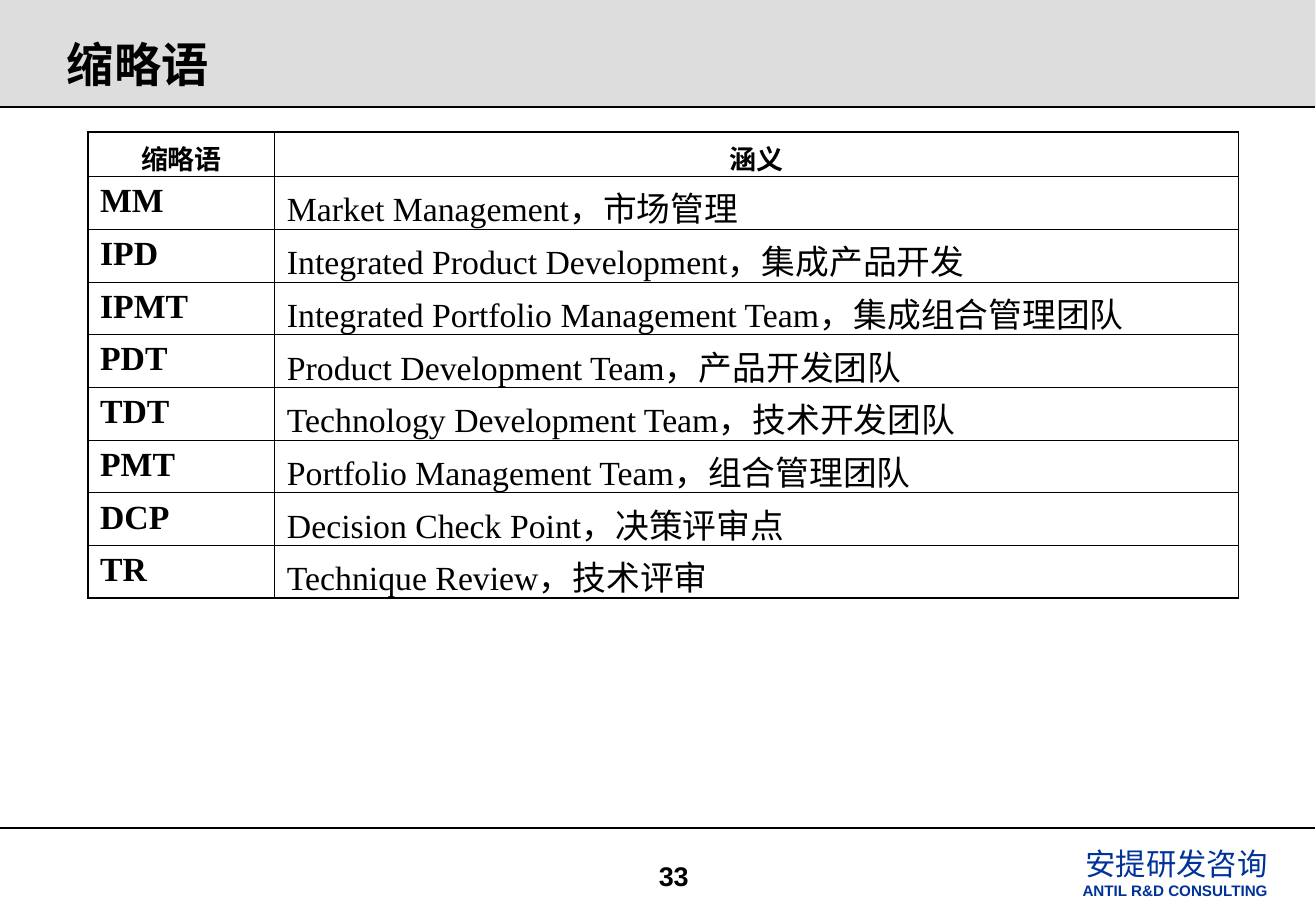
from lxml import etree
from pptx import Presentation
from pptx.dml.color import RGBColor
from pptx.enum.shapes import MSO_CONNECTOR, MSO_SHAPE
from pptx.enum.text import PP_ALIGN
from pptx.oxml.ns import qn
from pptx.util import Inches, Pt

PX = 7529
SLIDE_SIZE = Inches(10.84), Inches(7.5)
BAND_W = 1316
CENTER, LEFT = PP_ALIGN.CENTER, PP_ALIGN.LEFT
STRAIGHT, RECTANGLE = MSO_CONNECTOR.STRAIGHT, MSO_SHAPE.RECTANGLE
SANS, SERIF = "Arial", "Times New Roman"
COLORS = {"text": "000000", "rule": "000000", "band": "DDDDDD", "brand": "003399"}
OUTER_PT, INNER_PT = 1.08, 0.45
HEADER_H, ROW_H = 39, 46
COLUMN_WIDTHS = (187, 964)
HEADINGS = ("缩略语", "涵义")
ABBREVIATIONS = (
    ("MM", "Market Management，市场管理"),
    ("IPD", "Integrated Product Development，集成产品开发"),
    ("IPMT", "Integrated Portfolio Management Team，集成组合管理团队"),
    ("PDT", "Product Development Team，产品开发团队"),
    ("TDT", "Technology Development Team，技术开发团队"),
    ("PMT", "Portfolio Management Team，组合管理团队"),
    ("DCP", "Decision Check Point，决策评审点"),
    ("TR", "Technique Review，技术评审"),
)


def emu(*lengths):
    return [length * PX for length in lengths]


def rgb(name):
    return RGBColor.from_string(COLORS[name])


def write(frame, text, size, font, bold=True, align=LEFT, color="text"):
    paragraph = frame.paragraphs[0]
    paragraph.text = text
    paragraph.alignment = align
    paragraph.font.size = Pt(size)
    paragraph.font.name = font
    paragraph.font.bold = bold
    paragraph.font.color.rgb = rgb(color)


def add_label(slide, box, text, size, font, **style):
    frame = slide.shapes.add_textbox(*emu(*box)).text_frame
    frame.word_wrap = True
    write(frame, text, size, font, **style)


def add_band(slide, box):
    band = slide.shapes.add_shape(RECTANGLE, *emu(*box))
    band.shadow.inherit = False
    band.fill.solid()
    band.fill.fore_color.rgb = rgb("band")
    band.line.fill.background()


def add_rule(slide, y):
    rule = slide.shapes.add_connector(STRAIGHT, *emu(0, y, BAND_W, y))
    rule.line.color.rgb = rgb("rule")
    rule.line.width = Pt(0.75)
    etree.SubElement(rule._element.spPr, qn("a:effectLst"))


def set_borders(cell, outer_sides):
    properties = cell._tc.get_or_add_tcPr()
    for position, side in enumerate("LRTB"):
        width = OUTER_PT if side in outer_sides else INNER_PT
        border = etree.Element(qn(f"a:ln{side}"), w=str(Pt(width)))
        fill = etree.SubElement(border, qn("a:solidFill"))
        etree.SubElement(fill, qn("a:srgbClr"), val=COLORS["rule"])
        properties.insert(position, border)


def add_glossary(slide, left, top):
    rows = (HEADINGS, *ABBREVIATIONS)
    height = HEADER_H + ROW_H * len(ABBREVIATIONS)
    box = emu(left, top, sum(COLUMN_WIDTHS), height)
    table = slide.shapes.add_table(len(rows), len(HEADINGS), *box).table
    table.first_row = table.horz_banding = False
    for column, width in zip(table.columns, COLUMN_WIDTHS):
        column.width = width * PX
    for r, entry in enumerate(rows):
        header = r == 0
        table.rows[r].height = (HEADER_H if header else ROW_H) * PX
        for c, text in enumerate(entry):
            cell = table.cell(r, c)
            cell.fill.background()
            sides = "L" if c == 0 else "R"
            sides += "T" if header else ""
            sides += "B" if r == len(rows) - 1 else ""
            set_borders(cell, sides)
            if header:
                write(cell.text_frame, text, 16, SANS, align=CENTER)
            else:
                write(cell.text_frame, text, 20, SERIF, bold=c == 0)


def main():
    deck = Presentation()
    deck.slide_width, deck.slide_height = SLIDE_SIZE
    slide = deck.slides.add_slide(deck.slide_layouts[6])
    add_band(slide, (0, 0, BAND_W, 106))
    for y in (107, 828):
        add_rule(slide, y)
    add_label(slide, (55, 29, 500, 69), "缩略语", 28, SERIF)
    add_glossary(slide, 88, 132)
    add_label(slide, (611, 853, 126, 51), "33", 16, SANS, align=CENTER)
    add_label(slide, (1074, 839, 225, 49), "安提研发咨询", 18, SERIF,
              bold=False, color="brand")
    add_label(slide, (1071, 875, 237, 30), "ANTIL R&D CONSULTING", 9, SANS,
              color="brand")
    deck.save("out.pptx")


if __name__ == "__main__":
    main()
